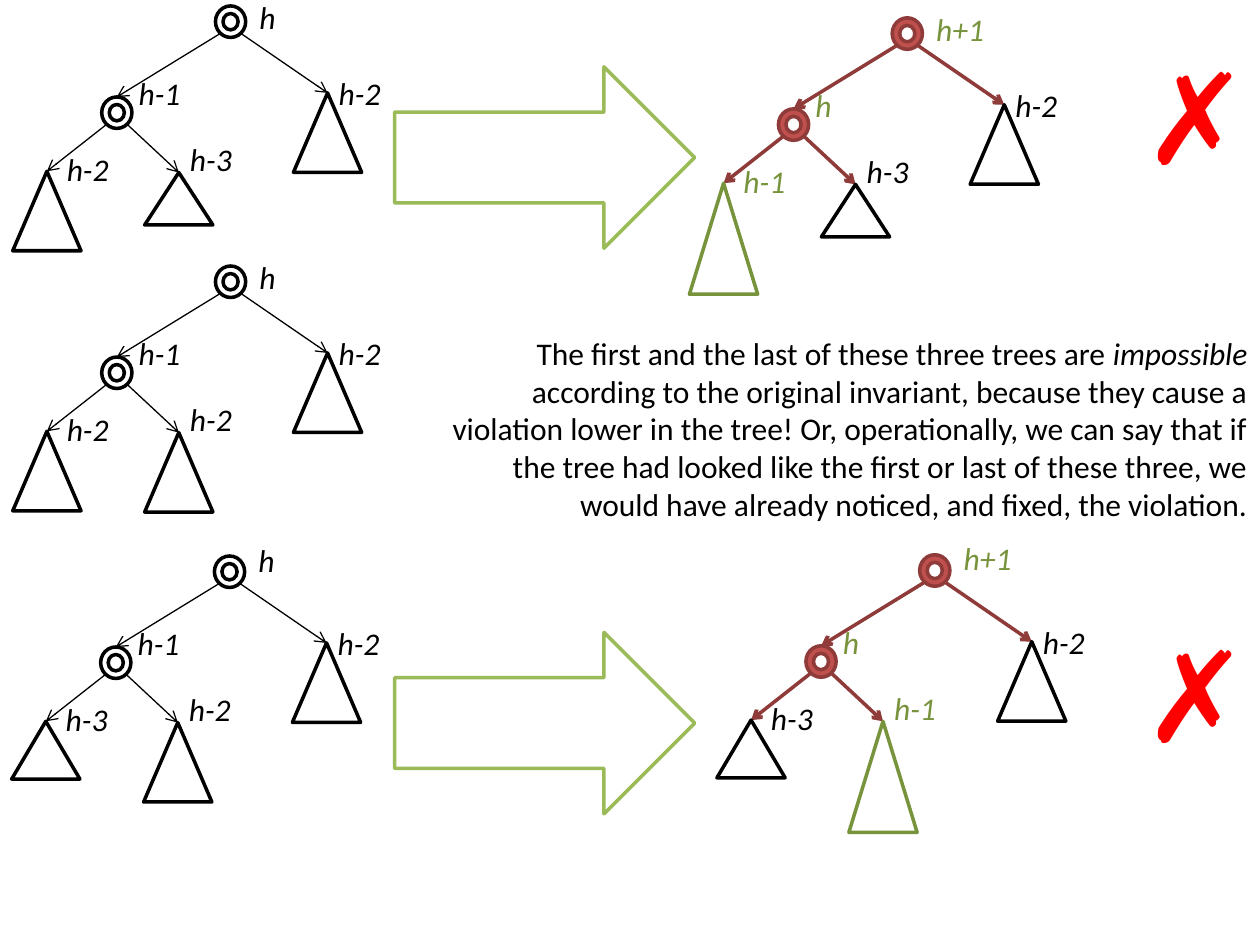
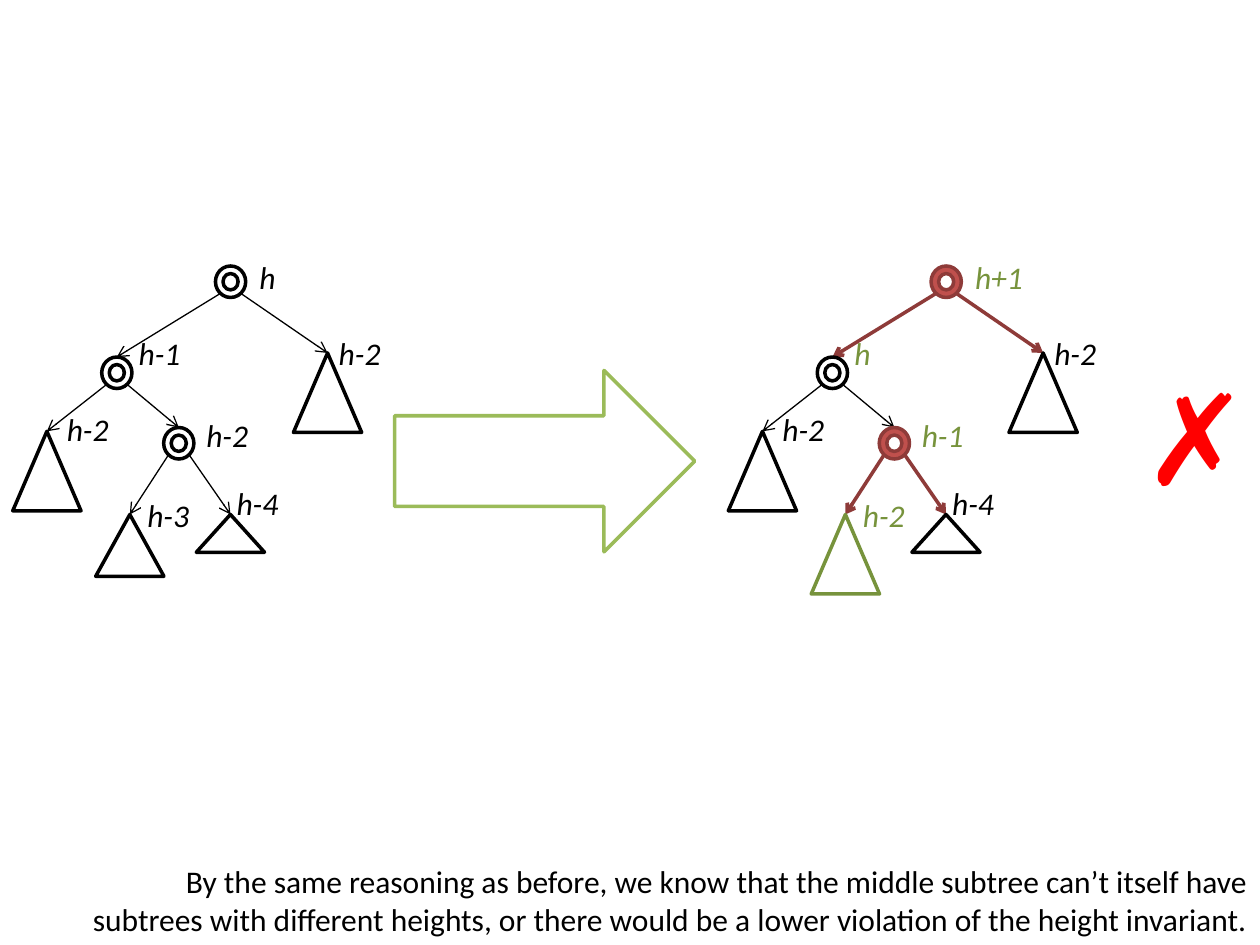
"""Build two slides on which left-heavy trees violate the height invariant."""
from dataclasses import dataclass

from lxml.etree import SubElement
from pptx import Presentation
from pptx.dml.color import RGBColor
from pptx.enum.shapes import MSO_CONNECTOR, MSO_SHAPE
from pptx.enum.text import MSO_AUTO_SIZE, PP_ALIGN
from pptx.oxml.ns import qn
from pptx.util import Pt

COLORS = {
    "black": "000000",
    "white": "FFFFFF",
    "red": "C0504D",
    "dark_red": "8E3B39",
    "green": "9BBB59",
    "dark_green": "77933C",
    "cross": "FF0000",
}
FONT = "Calibri"
NODE_W, NODE_H = 17.3, 18
LEAF_W = 39
LABEL_H = 29
LABEL_WIDTHS = {"h": 24, "h+1": 42.5}
LABEL_WIDTH = 39

# Each slot holds the step from the parent's top and the offset of the label.
SLOTS = {
    "root": ((0, 0), (9.4, -7.9)),
    "low_root": ((0, 0), (9.4, -12.3)),
    "left": ((-65, 52), (5.4, -16.6)),
    "right": ((55.4, 49.7), (-0.7, -14.4)),
    "left_left": ((-40, 42.5), (4.3, -15.8)),
    "left_right": ((35.4, 43.2), (-0.7, -22.3)),
    "middle": ((35.4, 40.3), (8.6, -10)),
    "middle_left": ((-28, 49.7), (2.9, -14.4)),
    "middle_right": ((29.5, 49.7), (-3.6, -20.9)),
}


@dataclass
class Node:
    """A tree node, or a subtree drawn as a triangle when height is set."""
    slot: str
    label: str
    kids: tuple = ()
    height: float = 0
    raised: bool = False
    broken: bool = False


def leaf(slot, label, height=45.4, raised=False):
    """Return a subtree without visible nodes."""
    return Node(slot, label, height=height, raised=raised)


def rgb(name):
    """Return the colour of that name."""
    return RGBColor.from_string(COLORS[name])


def add_outlined(slide, kind, x, y, w, h, line, fill="white"):
    """Add a preset shape with a two-point outline."""
    sp = slide.shapes.add_shape(kind, Pt(x), Pt(y), Pt(w), Pt(h))
    sp.shadow.inherit = False
    sp.fill.solid()
    sp.fill.fore_color.rgb = rgb(fill)
    sp.line.color.rgb = rgb(line)
    sp.line.width = Pt(2)


def add_edge(slide, start, end, broken):
    """Add an arrow from a parent to a child."""
    points = [Pt(v) for v in (*start, *end)]
    cxn = slide.shapes.add_connector(MSO_CONNECTOR.STRAIGHT, *points)
    cxn.line.color.rgb = rgb("dark_red" if broken else "black")
    cxn.line.width = Pt(2 if broken else 0.75)
    SubElement(cxn.line._get_or_add_ln(), qn("a:tailEnd"), type="arrow")
    SubElement(cxn._element.spPr, qn("a:effectLst"))


def add_text(slide, paragraphs, x, y, w, h, size=18, color="black", wrap=False,
             italic=False, bold=False, align=PP_ALIGN.LEFT):
    """Add a text box; each paragraph is a list of runs."""
    tf = slide.shapes.add_textbox(Pt(x), Pt(y), Pt(w), Pt(h)).text_frame
    tf.word_wrap = wrap
    tf.auto_size = MSO_AUTO_SIZE.SHAPE_TO_FIT_TEXT
    for i, runs in enumerate(paragraphs):
        p = tf.add_paragraph() if i else tf.paragraphs[0]
        p.alignment = align
        font = p.font
        font.name, font.size = FONT, Pt(size)
        font.italic, font.bold = italic, bold
        font.color.rgb = rgb(color)
        for text in runs:
            p.add_run().text = text
    return tf


def add_tree(slide, node, x, y):
    """Draw a node with its top at (x, y), its label and all below it."""
    if node.height:
        add_outlined(slide, MSO_SHAPE.ISOSCELES_TRIANGLE, x - LEAF_W / 2, y,
                     LEAF_W, node.height,
                     "dark_green" if node.raised else "black")
    else:
        line, fill = ("dark_red", "red") if node.broken else ("black", "white")
        add_outlined(slide, MSO_SHAPE.DONUT, x - NODE_W / 2, y,
                     NODE_W, NODE_H, line, fill)
    dx, dy = SLOTS[node.slot][1]
    add_text(slide, [[node.label]], x + dx, y + dy,
             LABEL_WIDTHS.get(node.label, LABEL_WIDTH), LABEL_H, italic=True,
             color="dark_green" if node.raised else "black")
    for kid in node.kids:
        dx, dy = SLOTS[kid.slot][0]
        side = 6 if dx > 0 else -6
        add_edge(slide, (x + side, y + 15.8), (x + dx, y + dy), node.broken)
        add_tree(slide, kid, x + dx, y + dy)


def add_block_arrow(slide, y):
    """Add the wide arrow from a tree to its grown form."""
    add_outlined(slide, MSO_SHAPE.RIGHT_ARROW, 225.5, y, 171.5, 103.7, "green")


def add_cross(slide, y):
    """Add the red cross that marks an impossible case."""
    add_text(slide, [["✗"]], 646.6, y, 61.2, 94.3, size=72, color="cross", bold=True)


def before(*kids, root="root"):
    """Return the tree of height h with these kids under its left child."""
    return Node(root, "h", (Node("left", "h-1", kids), leaf("right", "h-2")))


def after(*kids, root="root", left_broken=True):
    """Return the grown tree with these kids under its left child."""
    left = Node("left", "h", kids, raised=True, broken=left_broken)
    return Node(root, "h+1", (left, leaf("right", "h-2")), raised=True, broken=True)


def add_outer_cases(prs):
    """Add the slide with the three possible left subtrees."""
    slide = prs.slides.add_slide(prs.slide_layouts[6])
    low_left = leaf("left_left", "h-2")
    short_right = leaf("left_right", "h-3", 30)
    short_left = leaf("left_left", "h-3", 33)
    low_right = leaf("left_right", "h-2")
    add_tree(slide, before(low_left, low_right), 131.8, 152)
    add_tree(slide, before(low_left, short_right), 131.8, 3.4)
    add_tree(slide, before(short_left, low_right, root="low_root"), 131.2, 317.7)
    add_tree(slide, after(leaf("left_left", "h-1", 63.4, True), short_right),
             518.5, 10.2)
    add_tree(slide, after(short_left, leaf("left_right", "h-1", 63.4, True),
                          root="low_root"), 534.2, 317)
    for arrow_y, cross_y in ((38.2, 18.7), (361.4, 348.5)):
        add_block_arrow(slide, arrow_y)
        add_cross(slide, cross_y)
    tf = add_text(slide, [[
        "The first and the last of these three trees are ",
        "impossible",
        " according to the original invariant, because they cause a violation "
        "lower in the tree! Or, operationally, we can say that if the tree had "
        "looked like the first or last of these three, we would have already "
        "noticed, and fixed, the violation.",
    ]], 247.7, 187.2, 472.3, 116.6, wrap=True, align=PP_ALIGN.RIGHT)
    tf.paragraphs[0].runs[1].font.italic = True


def add_middle_case(prs):
    """Add the slide on which the middle subtree grows."""
    slide = prs.slides.add_slide(prs.slide_layouts[6])
    low_left = leaf("left_left", "h-2")
    shortest = leaf("middle_right", "h-4", 21.6)
    middle = Node("middle", "h-2", (leaf("middle_left", "h-3", 35.3), shortest))
    grown = Node("middle", "h-1",
                 (leaf("middle_left", "h-2", raised=True), shortest),
                 raised=True, broken=True)
    add_tree(slide, before(low_left, middle), 131.8, 152)
    add_block_arrow(slide, 211.7)
    add_tree(slide, after(low_left, grown, left_broken=False), 540.7, 152)
    add_text(slide, [
        ["By the same reasoning as before, we know that the middle subtree "
         "can’t itself have"],
        ["subtrees with different heights, or there would be a lower violation "
         "of the height invariant."],
    ], 0, 489, 720, 51, wrap=True, align=PP_ALIGN.RIGHT)
    add_cross(slide, 201.6)


def main():
    """Build and save the presentation."""
    prs = Presentation()
    prs.slide_width, prs.slide_height = Pt(720), Pt(540)
    add_outer_cases(prs)
    add_middle_case(prs)
    prs.save("out.pptx")


if __name__ == "__main__":
    main()
